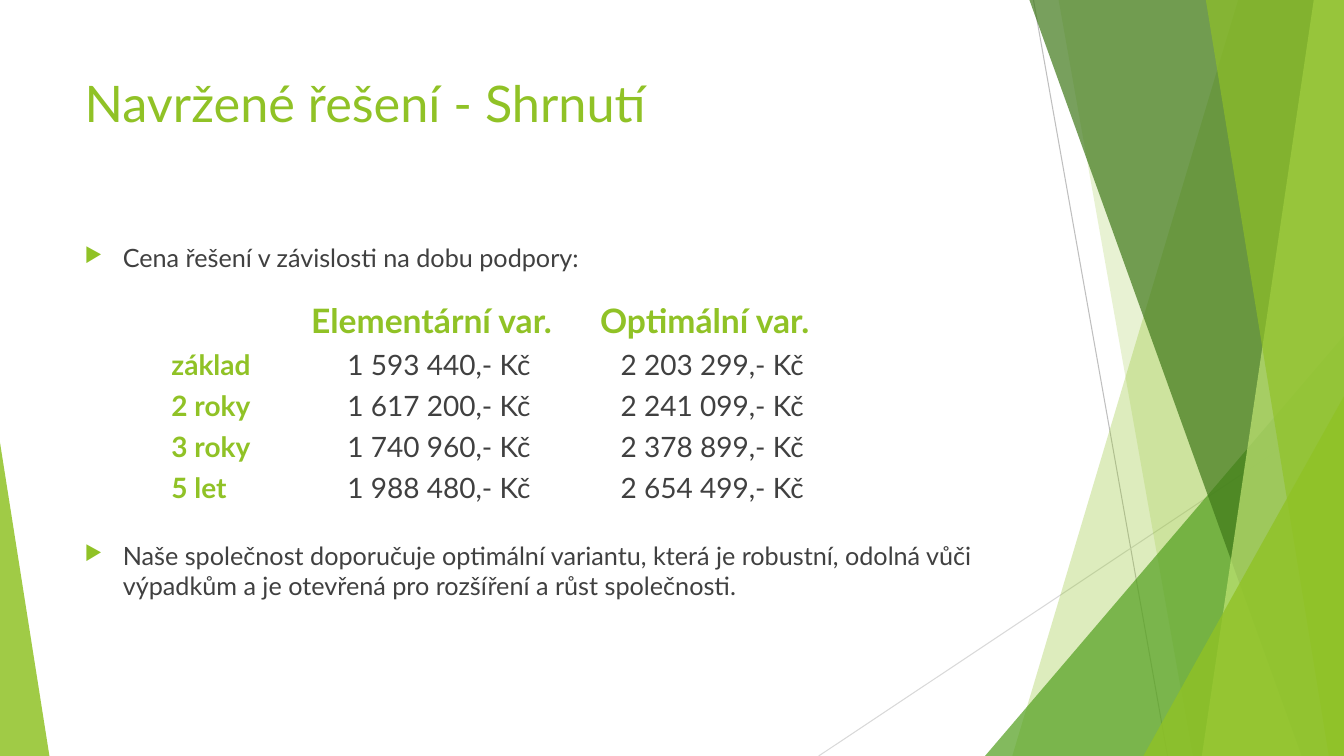
from dataclasses import dataclass

from lxml.etree import SubElement
from pptx import Presentation
from pptx.dml.color import RGBColor
from pptx.enum.shapes import MSO_CONNECTOR as CONN, MSO_SHAPE as SHAPE
from pptx.enum.text import MSO_ANCHOR as ANCHOR, PP_ALIGN as ALIGN
from pptx.oxml.ns import qn
from pptx.util import Inches, Pt


@dataclass(frozen=True)
class Theme:
    """Colours, font and type sizes of the slide."""
    font: str = "Lato"
    accent: str = "90C226"
    text: str = "404040"
    leaf: str = "54A021"
    forest: str = "3F7819"
    lime: str = "C0E474"
    ray: str = "BFBFBF"
    pale_ray: str = "D9D9D9"
    title: int = 36
    head: int = 24
    cell: int = 20
    body: int = 18


THEME = Theme()
WIDTH, HEIGHT = 13.33, 7.5
PRICES = [
    ("", "Elementární var.", "Optimální var."),
    ("základ", "1 593 440,- Kč", "2 203 299,- Kč"),
    ("2 roky", "1 617 200,- Kč", "2 241 099,- Kč"),
    ("3 roky", "1 740 960,- Kč", "2 378 899,- Kč"),
    ("5 let", "1 988 480,- Kč", "2 654 499,- Kč"),
]
BULLETS = [
    ("Cena řešení v závislosti na dobu podpory:", 10),
    ("Naše společnost doporučuje optimální variantu, která je robustní, "
     "odolná vůči výpadkům a je otevřená pro rozšíření a růst společnosti.", 191),
]


def set_attrs(obj, values):
    """Set each named attribute of an object."""
    for name, value in values.items():
        setattr(obj, name, value)


def write(p, text, size, color, bold=False):
    """Add one formatted run to a paragraph."""
    r = p.add_run()
    r.text = text
    set_attrs(r.font, {"name": THEME.font, "size": Pt(size), "bold": bold})
    r.font.color.rgb = RGBColor.from_string(color)


def paint(sp, color, alpha):
    """Give a shape a see-through fill without line or shadow."""
    sp.shadow.inherit = False
    sp.line.fill.background()
    sp.fill.solid()
    sp.fill.fore_color.rgb = RGBColor.from_string(color)
    clr = sp._element.spPr.find(qn("a:solidFill"))[0]
    SubElement(clr, qn("a:alpha"), val=str(alpha * 1000))


def add_ray(slide, start, end, color):
    """Draw a thin straight line."""
    ray = slide.shapes.add_connector(CONN.STRAIGHT, *map(Inches, start + end))
    ray.line.width = Pt(0.75)
    ray.line.color.rgb = RGBColor.from_string(color)
    SubElement(ray._element.spPr, qn("a:effectLst"))


def add_band(slide, top_x, bottom_x, color, alpha):
    """Draw a slanted band that reaches the right edge."""
    corners = [(top_x, 0), (WIDTH, 0), (WIDTH, HEIGHT), (bottom_x, HEIGHT)]
    points = [(Inches(x), Inches(y)) for x, y in corners]
    builder = slide.shapes.build_freeform(*points[0])
    builder.add_line_segments(points[1:], close=True)
    paint(builder.convert_to_shape(), color, alpha)


def add_wedge(slide, left, width, height, apex, color, alpha):
    """Draw a right triangle standing on the bottom edge."""
    box = map(Inches, (left, HEIGHT - height, width, height))
    sp = slide.shapes.add_shape(SHAPE.ISOSCELES_TRIANGLE, *box)
    sp.adjustments[0] = apex
    paint(sp, color, alpha)


def add_backdrop(slide):
    """Layer the rays, bands and wedges from back to front."""
    t = THEME
    add_ray(slide, (10.25, 0), (11.58, HEIGHT), t.ray)
    add_ray(slide, (WIDTH, 4.03), (8.12, HEIGHT), t.pale_ray)
    add_band(slide, 12.28, 10.04, t.accent, 30)
    add_band(slide, 10.5, 11.83, t.accent, 20)
    add_wedge(slide, 9.77, 3.56, 4.17, 1, t.leaf, 72)
    add_band(slide, 10.21, 12.91, t.forest, 70)
    add_band(slide, 13.03, 11.92, t.lime, 70)
    add_band(slide, 11.96, 13.18, t.accent, 65)
    add_wedge(slide, 11.34, 1.99, 3.57, 1, t.accent, 80)
    add_wedge(slide, 0, 0.49, 3.11, 0, t.accent, 85)


def add_title(slide, box, text):
    """Place and format the title placeholder."""
    sp = slide.shapes.title
    set_attrs(sp, dict(zip(("left", "top", "width", "height"), map(Inches, box))))
    tf = sp.text_frame
    set_attrs(tf, {"vertical_anchor": ANCHOR.TOP, "word_wrap": True})
    p = tf.paragraphs[0]
    p.alignment = ALIGN.LEFT
    write(p, text, THEME.title, THEME.accent)


def add_bullets(slide, box, items):
    """Write bulleted paragraphs, each with its space before."""
    tf = slide.shapes.add_textbox(*map(Inches, box)).text_frame
    tf.word_wrap = True
    for i, (text, gap) in enumerate(items):
        p = tf.add_paragraph() if i else tf.paragraphs[0]
        p.space_before = Pt(gap)
        write(p, text, THEME.body, THEME.text)
        pPr = p._p.get_or_add_pPr()
        pPr.set("marL", str(Inches(0.38)))
        pPr.set("indent", str(-Inches(0.38)))
        SubElement(SubElement(pPr, qn("a:buClr")), qn("a:srgbClr"), val=THEME.accent)
        SubElement(pPr, qn("a:buSzPct"), val="80000")
        SubElement(pPr, qn("a:buChar"), char="▶")


def add_prices(slide, box, widths, rows):
    """Place the price table with green row and column heads."""
    frame = slide.shapes.add_table(len(rows), len(widths), *map(Inches, box))
    table = frame.table
    set_attrs(table, {"first_row": False, "horz_banding": False})
    for column, width in zip(table.columns, widths):
        column.width = Inches(width)
    for i, row in enumerate(rows):
        for j, text in enumerate(row):
            cell = table.cell(i, j)
            is_price = i > 0 and j > 0
            cell.fill.background()
            set_attrs(cell, {
                "vertical_anchor": ANCHOR.BOTTOM,
                "margin_left": Inches(0.16 if is_price else 0.01),
                "margin_right": Inches(0.01),
                "margin_top": Inches(0.01),
                "margin_bottom": 0,
            })
            p = cell.text_frame.paragraphs[0]
            p.alignment = ALIGN.CENTER if j else ALIGN.LEFT
            if text:
                write(p, text, THEME.cell if i else THEME.head,
                      THEME.text if is_price else THEME.accent, not is_price)


def main():
    """Build the summary slide and save it."""
    prs = Presentation()
    set_attrs(prs, {"slide_width": Inches(WIDTH), "slide_height": Inches(HEIGHT)})
    slide = prs.slides.add_slide(prs.slide_layouts[5])
    add_backdrop(slide)
    add_title(slide, (0.74, 0.67, 9.4, 1.44), "Navržené řešení - Shrnutí")
    add_bullets(slide, (0.74, 2.36, 9.4, 4.24), BULLETS)
    add_prices(slide, (1.69, 2.97, 6.7, 2.03), (1.28, 2.62, 2.8), PRICES)
    prs.save("out.pptx")


if __name__ == "__main__":
    main()
